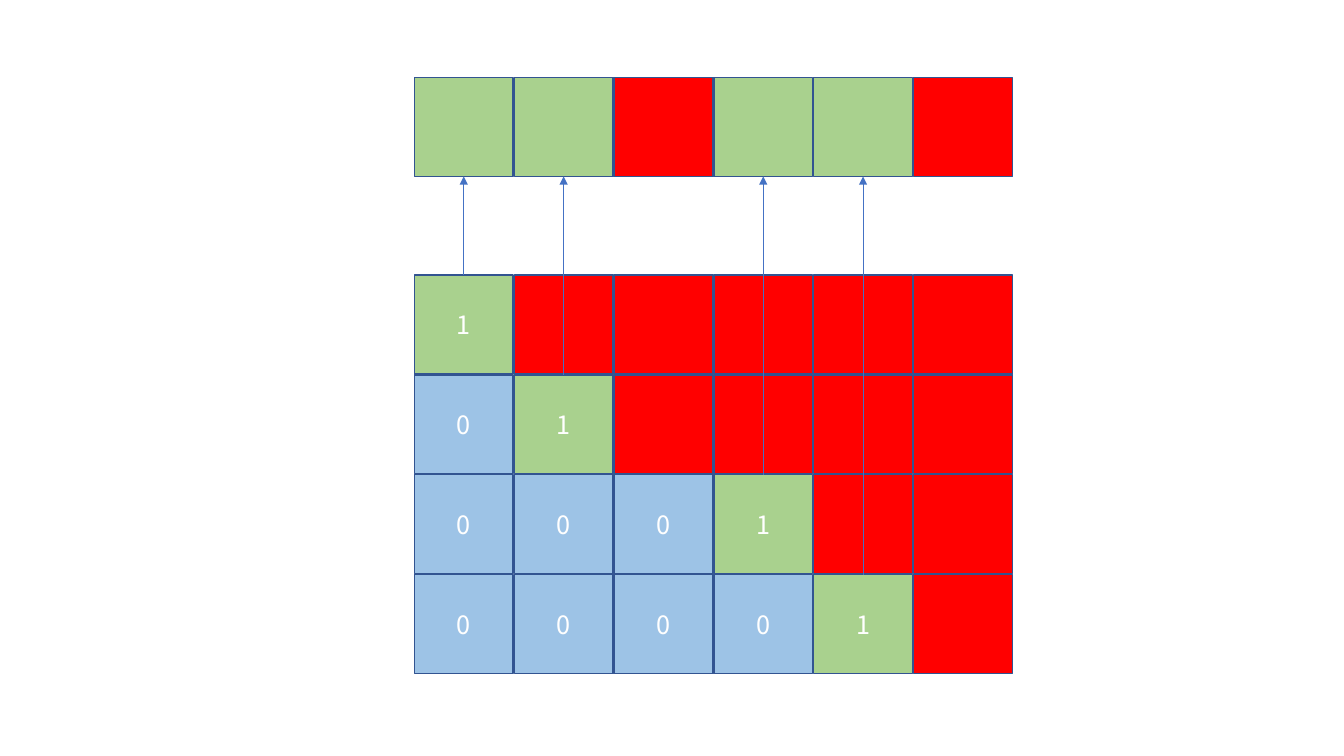
from lxml.etree import SubElement
from pptx import Presentation
from pptx.dml.color import RGBColor
from pptx.enum.shapes import MSO_CONNECTOR as Link, MSO_SHAPE as Shape
from pptx.enum.text import MSO_ANCHOR as Anchor, PP_ALIGN as Align
from pptx.oxml.ns import qn
from pptx.util import Inches, Pt

BLUE = RGBColor(0x9D, 0xC3, 0xE6)
GREEN = RGBColor(0xA9, 0xD1, 0x8E)
RED = RGBColor(0xFF, 0x00, 0x00)
EDGE = RGBColor(0x32, 0x54, 0x91)
ARROW = RGBColor(0x44, 0x72, 0xC4)
WHITE = RGBColor(0xFF, 0xFF, 0xFF)

SIZE = 0.98
STEP = 0.99
LEFT = 4.11
TOP = 0.77
GRID = 2.73
FILLS = {"0": BLUE, "1": GREEN, "g": GREEN, "x": RED}

deck = Presentation()
deck.slide_width = Inches(13.33)
deck.slide_height = Inches(7.5)
slide = deck.slides.add_slide(deck.slide_layouts[6])
shapes = slide.shapes

matrix = ["1xxxxx", "01xxxx", "0001xx", "00001x"]
rows = [(TOP, "ggxggx")]
rows += [(GRID + i * STEP, row) for i, row in enumerate(matrix)]

for top, row in rows:
    for col, mark in enumerate(row):
        cell = shapes.add_shape(
            Shape.RECTANGLE, Inches(LEFT + col * STEP), Inches(top),
            Inches(SIZE), Inches(SIZE))
        cell.shadow.inherit = False
        cell.fill.solid()
        cell.fill.fore_color.rgb = FILLS[mark]
        cell.line.color.rgb = EDGE
        cell.line.width = Pt(1)
        if mark in "01":
            frame = cell.text_frame
            frame.vertical_anchor = Anchor.MIDDLE
            para = frame.paragraphs[0]
            para.text = mark
            para.alignment = Align.CENTER
            para.font.size = Pt(18)
            para.font.name = "Noto Sans CJK SC"
            para.font.color.rgb = WHITE

for i, row in enumerate(matrix):
    mid = Inches(LEFT + row.index("1") * STEP + SIZE / 2)
    arrow = shapes.add_connector(
        Link.STRAIGHT, mid, Inches(GRID + i * STEP), mid, Inches(TOP + SIZE))
    arrow.line.color.rgb = ARROW
    arrow.line.width = Pt(0.5)
    SubElement(arrow.line._get_or_add_ln(), qn("a:tailEnd"), type="triangle")
    SubElement(arrow._element.spPr, qn("a:effectLst"))

deck.save("out.pptx")
